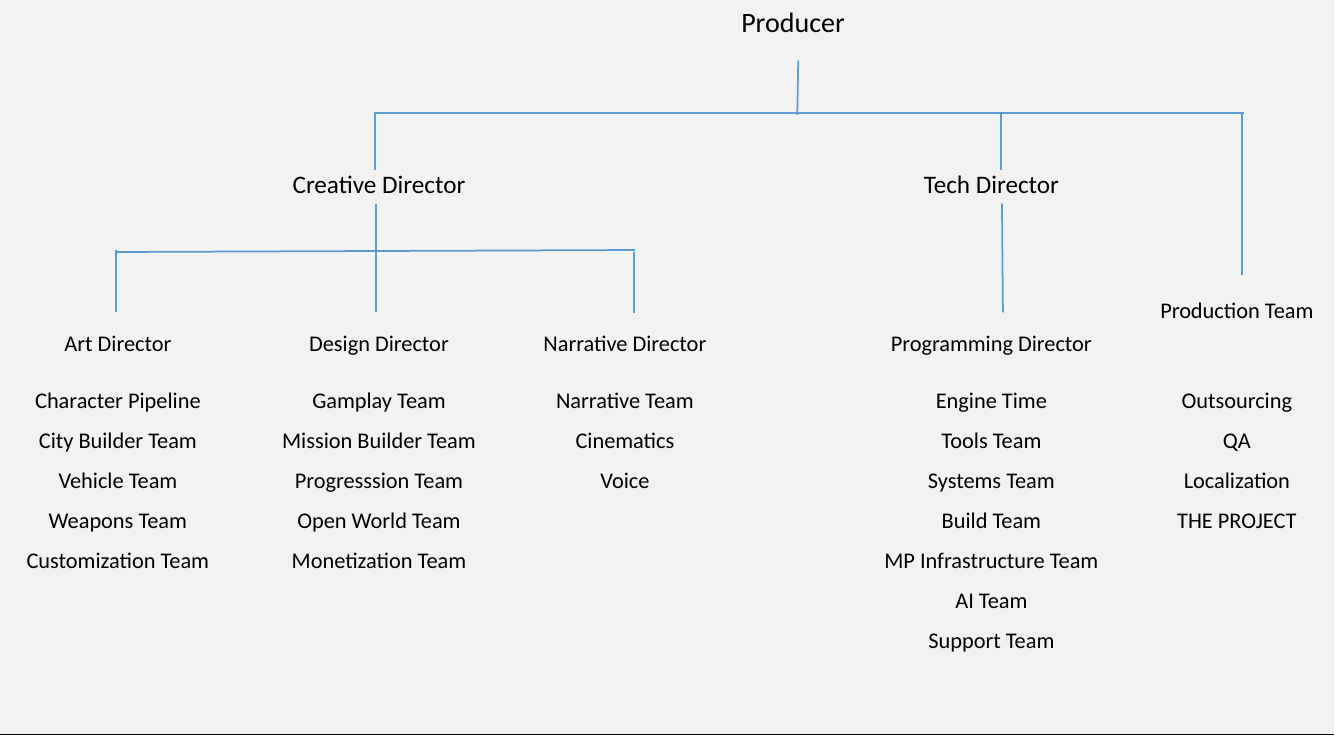
from lxml import etree
from pptx import Presentation
from pptx.dml.color import RGBColor
from pptx.enum.shapes import MSO_CONNECTOR
from pptx.enum.text import MSO_ANCHOR, PP_ALIGN
from pptx.oxml.ns import qn
from pptx.util import Pt

STRAIGHT = MSO_CONNECTOR.STRAIGHT
BOTTOM = MSO_ANCHOR.BOTTOM
CENTER = PP_ALIGN.CENTER
PLAIN_TABLE = "{2D5ABB26-0587-4C30-8999-92F81FD0307C}"

# Table grid, in points
COLUMN_WIDTHS = [168.5, 10.8, 182.9, 10.8, 146.9, 9.4, 74.5, 9.4, 190.1, 10.8, 139]
ROW_HEIGHTS = [28.6] * 19
ROW_HEIGHTS[5] = 31.7
ROW_HEIGHTS[8] = 23.8
ROW_HEIGHTS[9] = 12.2

# Leaders: row, column, name, text size
LEADERS = [
    (0, 6, "Producer", 20),
    (4, 2, "Creative Director", 18),
    (4, 8, "Tech Director", 18),
    (7, 10, "Production Team", 16),
    (8, 0, "Art Director", 16),
    (8, 2, "Design Director", 16),
    (8, 4, "Narrative Director", 16),
    (8, 8, "Programming Director", 16),
]

# Teams listed downwards in each column
FIRST_TEAM_ROW = 10
TEAMS = {
    0: ["Character Pipeline", "City Builder Team", "Vehicle Team",
        "Weapons Team", "Customization Team"],
    2: ["Gamplay Team", "Mission Builder Team", "Progresssion Team",
        "Open World Team", "Monetization Team"],
    4: ["Narrative Team", "Cinematics", "Voice"],
    8: ["Engine Time", "Tools Team", "Systems Team", "Build Team",
        "MP Infrastructure Team", "AI Team", "Support Team"],
    10: ["Outsourcing", "QA", "Localization", "THE PROJECT"],
}

# Branches of the chart: start x, start y, end x, end y
BRANCHES = [
    (267.8, 80, 267.8, 121.7),
    (267.1, 80.6, 888.5, 80.6),
    (82.8, 180, 453.6, 178.6),
    (82.8, 178.6, 82.8, 223.2),
    (715, 80, 715, 121.7),
    (887, 80, 887, 196.6),
    (452.9, 180, 452.9, 223.9),
    (570.2, 43.2, 569.5, 82.1),
    (715.7, 145.4, 716.4, 223.2),
    (268.6, 145.4, 268.6, 223.2),
]


def color(hex_value):
    return RGBColor.from_string(hex_value)


class ChartSlide:
    font = "Calibri"
    ink = "000000"
    background = "F2F2F2"
    accent = "5B9BD5"

    def __init__(self, presentation):
        self.slide = presentation.slides.add_slide(presentation.slide_layouts[6])

    def add_grid(self, column_widths, row_heights):
        frame = self.slide.shapes.add_table(
            len(row_heights), len(column_widths), 0, 0,
            Pt(sum(column_widths)), Pt(sum(row_heights)))
        table = frame.table
        table.first_row = table.horz_banding = False
        table._tbl.tblPr.find(qn("a:tableStyleId")).text = PLAIN_TABLE
        for column, width in zip(table.columns, column_widths):
            column.width = Pt(width)
        for row, height in zip(table.rows, row_heights):
            row.height = Pt(height)
        for cell in table.iter_cells():
            self.style_cell(cell)
        for cell in table.rows[len(row_heights) - 1].cells:
            self.add_bottom_border(cell)
        return table

    def style_cell(self, cell):
        cell.fill.solid()
        cell.fill.fore_color.rgb = color(self.background)
        cell.margin_left = cell.margin_right = 0
        cell.margin_top = cell.margin_bottom = 0
        cell.vertical_anchor = BOTTOM
        # A small empty line lets the spacer row stay low
        paragraph = cell.text_frame.paragraphs[0]
        etree.SubElement(paragraph._p, qn("a:endParaRPr"), sz="1000")

    def add_bottom_border(self, cell):
        border = etree.Element(qn("a:lnB"), w=str(Pt(0.5)))
        fill = etree.SubElement(border, qn("a:solidFill"))
        etree.SubElement(fill, qn("a:srgbClr"), val=self.ink)
        cell._tc.get_or_add_tcPr().insert(0, border)

    def add_name(self, cell, name, size):
        paragraph = cell.text_frame.paragraphs[0]
        paragraph.alignment = CENTER
        run = paragraph.add_run()
        run.text = name
        run.font.name = self.font
        run.font.size = Pt(size)
        run.font.color.rgb = color(self.ink)

    def add_branches(self, branches):
        group = self.slide.shapes.add_group_shape()
        for branch in branches:
            connector = group.shapes.add_connector(STRAIGHT, *map(Pt, branch))
            connector.line.color.rgb = color(self.accent)
            connector.line.width = Pt(1.25)
            etree.SubElement(connector._element.spPr, qn("a:effectLst"))


def main():
    presentation = Presentation()
    presentation.slide_width = Pt(960)
    presentation.slide_height = Pt(540)
    chart = ChartSlide(presentation)

    # Names in the grid
    table = chart.add_grid(COLUMN_WIDTHS, ROW_HEIGHTS)
    for row, column, name, size in LEADERS:
        chart.add_name(table.cell(row, column), name, size)
    for column, teams in TEAMS.items():
        for row, team in enumerate(teams, FIRST_TEAM_ROW):
            chart.add_name(table.cell(row, column), team, 16)

    # Lines between the names
    chart.add_branches(BRANCHES)
    presentation.save("out.pptx")


if __name__ == "__main__":
    main()
